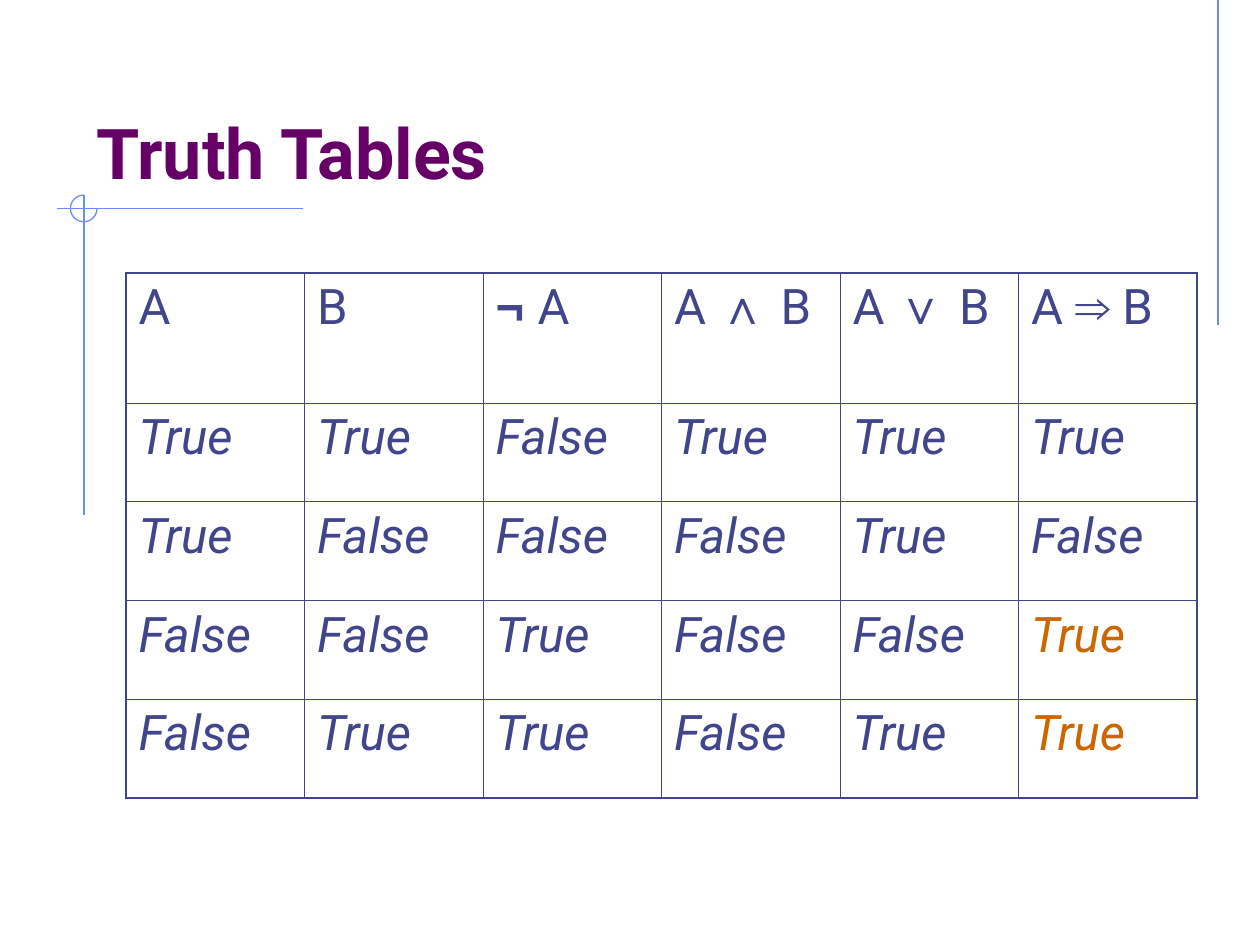
import pptx
import pptx.dml.color
import pptx.enum.shapes
import pptx.enum.text
import pptx.oxml.ns
import pptx.util
from lxml import etree

Pt = pptx.util.Pt
qn = pptx.oxml.ns.qn

INK, TITLE, ACCENT, RULE = "40458C", "660066", "CC6600", "6F89F7"
THIN, THICK = 0.45, 1.08

# Each header is a list of (text, is_symbol) runs
HEADERS = [
    [("A", False)],
    [("B", False)],
    [("¬ ", True), ("A", False)],
    [("A ", False), ("∧ ", True), ("B", False)],
    [("A ", False), ("∨ ", True), ("B", False)],
    [("A ", False), ("⇒", True), (" B", False)],
]
TRUTH_ROWS = ["TTFTTT", "TFFFTF", "FFTFFT", "FTTFTT"]
WORDS = {"T": "True", "F": "False"}
HIGHLIGHTS = {(3, 5), (4, 5)}


def color(value):
    return pptx.dml.color.RGBColor.from_string(value)


def add_run(p, text, size, fill, font="Roboto", bold=False, italic=False):
    r = p.add_run()
    r.text = text
    r.font.size = Pt(size)
    r.font.name = font
    r.font.bold = bold
    r.font.italic = italic
    r.font.color.rgb = color(fill)


def style_rule(s):
    s.line.color.rgb = color(RULE)
    s.line.width = Pt(0.75)


def add_rule(slide, x1, y1, x2, y2):
    s = slide.shapes.add_connector(
        pptx.enum.shapes.MSO_CONNECTOR.STRAIGHT, Pt(x1), Pt(y1), Pt(x2), Pt(y2))
    style_rule(s)
    etree.SubElement(s.element.spPr, qn("a:effectLst"))


def add_arc(slide, x, y, size, start, end):
    s = slide.shapes.add_shape(
        pptx.enum.shapes.MSO_SHAPE.ARC, Pt(x), Pt(y), Pt(size), Pt(size))
    # Angles are stored in 60000ths of a degree, adjustments in 100000ths
    s.adjustments[0], s.adjustments[1] = start * 0.6, end * 0.6
    s.shadow.inherit = False
    s.fill.background()
    style_rule(s)


def add_title(slide, text):
    s = slide.shapes.add_textbox(Pt(48), Pt(24), Pt(612), Pt(90))
    tf = s.text_frame
    tf.word_wrap = True
    tf.vertical_anchor = pptx.enum.text.MSO_ANCHOR.BOTTOM
    add_run(tf.paragraphs[0], text, 40, TITLE, bold=True)


def set_borders(cell, widths):
    tc_pr = cell._tc.get_or_add_tcPr()
    for i, (side, width) in enumerate(widths.items()):
        ln = etree.Element(qn(f"a:ln{side}"), w=str(int(Pt(width))))
        fill = etree.SubElement(ln, qn("a:solidFill"))
        etree.SubElement(fill, qn("a:srgbClr"), val=INK)
        tc_pr.insert(i, ln)


def fill_cell(cell, row, col):
    cell.fill.background()
    p = cell.text_frame.paragraphs[0]
    p.space_before = Pt(7)
    if row == 0:
        for text, symbol in HEADERS[col]:
            add_run(p, text, 28, INK, "Arial" if symbol else "Roboto", bold=symbol)
    else:
        fill = ACCENT if (row, col) in HIGHLIGHTS else INK
        add_run(p, WORDS[TRUTH_ROWS[row - 1][col]], 28, fill, italic=True)


def add_truth_table(slide):
    rows, cols = len(TRUTH_ROWS) + 1, len(HEADERS)
    table = slide.shapes.add_table(
        rows, cols, Pt(72), Pt(156), Pt(612), Pt(300)).table
    table.first_row = table.horz_banding = False
    for row in range(rows):
        table.rows[row].height = Pt(56.4 if row else 74.4)
        for col in range(cols):
            cell = table.cell(row, col)
            fill_cell(cell, row, col)
            # Thick outline, thin inner grid
            outer = {"L": col == 0, "R": col == cols - 1,
                     "T": row == 0, "B": row == rows - 1}
            set_borders(cell, {k: THICK if v else THIN for k, v in outer.items()})


def main():
    prs = pptx.Presentation()
    prs.slide_width, prs.slide_height = Pt(720), Pt(540)
    slide = prs.slides.add_slide(prs.slide_layouts[6])

    # Decorative rules and the arc at their crossing
    add_rule(slide, 696, 0, 696, 186)
    add_rule(slide, 173, 119.25, 32.5, 119.25)
    add_rule(slide, 48, 111.5, 48, 294.5)
    add_arc(slide, 40.25, 111.5, 15.25, 0, 270)

    # Content
    add_title(slide, "Truth Tables")
    add_truth_table(slide)
    prs.save("out.pptx")


if __name__ == "__main__":
    main()
